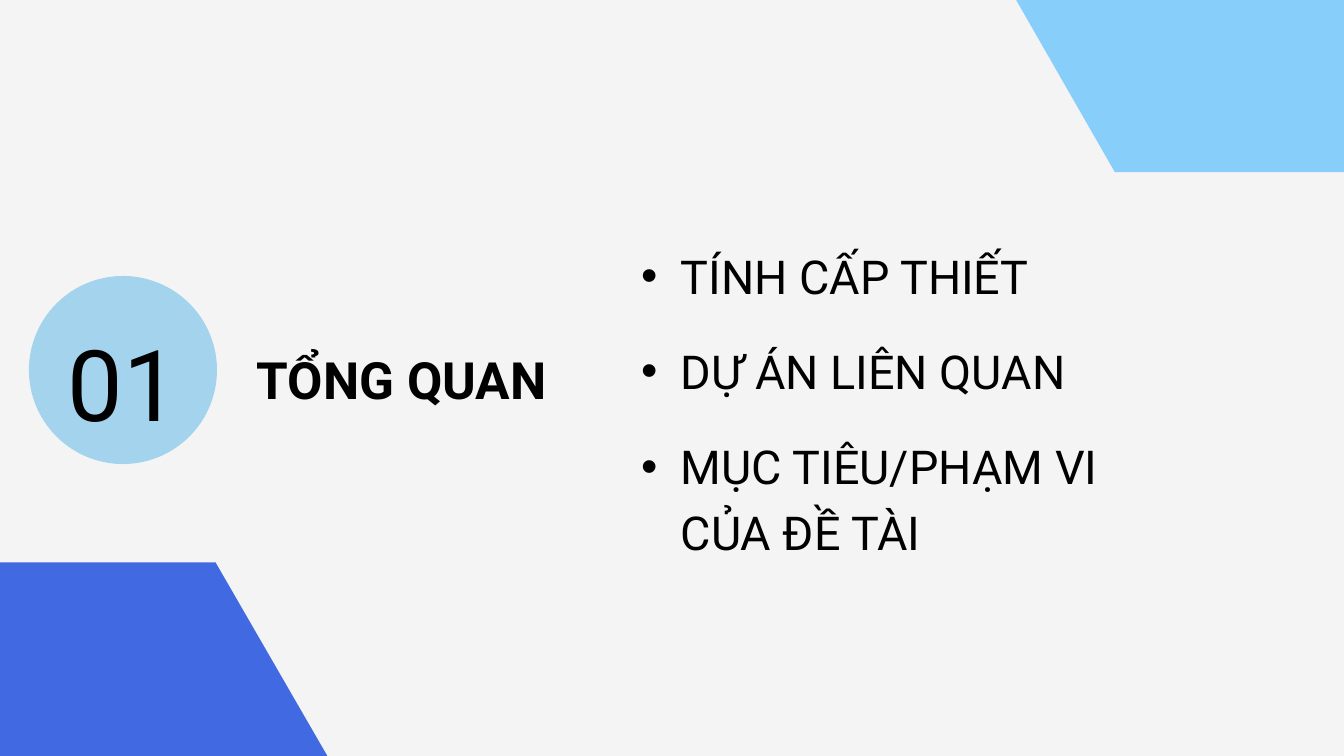
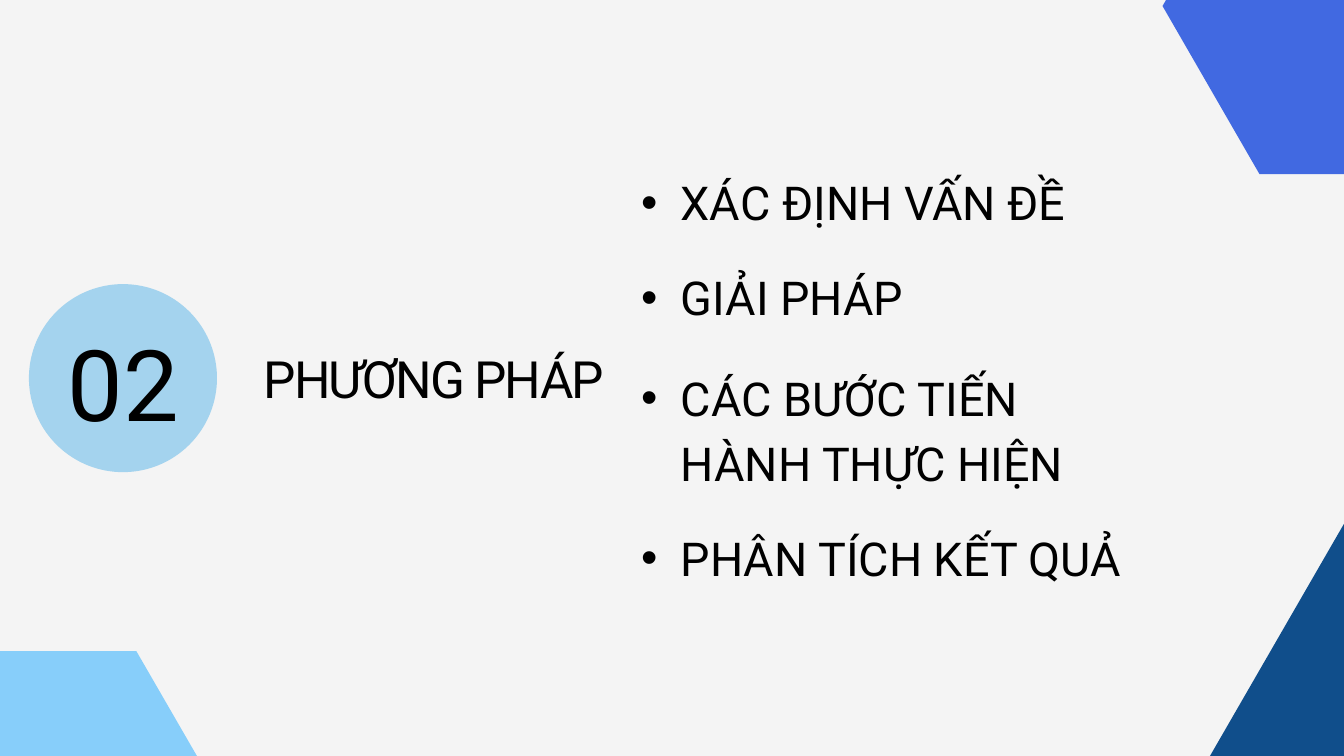
from lxml import etree
from pptx import Presentation
from pptx.dml.color import RGBColor
from pptx.enum.shapes import MSO_SHAPE
from pptx.enum.text import MSO_AUTO_SIZE, PP_ALIGN
from pptx.oxml.ns import qn
from pptx.util import Pt

OVAL = MSO_SHAPE.OVAL
GROW = MSO_AUTO_SIZE.SHAPE_TO_FIT_TEXT
LEFT, CENTER = PP_ALIGN.LEFT, PP_ALIGN.CENTER

FONT = "Roboto"
COLORS = {
    "background": "F4F4F4",
    "text": "000000",
    "badge": "A4D3EE",
    "royal": "4169E1",
    "sky": "87CEFA",
    "navy": "104E8B",
}

# Shared layout, in points
BADGE_LEFT, BADGE_SIZE = 31, 201.5
NUMBER_BOX = (71.3, 324.7, 121.7, 144)
TOPIC_LEFT, TOPIC_WIDTH = 644.4, 601
INDENT = 42.5

# Hexagons: left, top, width, height, corner inset as a share of the width, colour
SECTIONS = [
    {
        "number": "01",
        "badge_top": 295.7,
        "title": "TỔNG QUAN",
        "title_box": (232.6, 369.4, 411.8, 67),
        "title_format": {"bold": True, "spacing": 70, "level": 1, "margin": INDENT},
        "hexagons": [
            (-367.9, 602.6, 798.5, 691.2, 0.25, "royal"),
            (1077.8, -222.5, 686.2, 406.8, 0.17, "sky"),
        ],
        "topics": [
            ("TÍNH CẤP THIẾT", 255.6, TOPIC_WIDTH),
            ("DỰ ÁN LIÊN QUAN", 357.1, TOPIC_WIDTH),
            ("MỤC TIÊU/PHẠM VI CỦA ĐỀ TÀI", 459.4, 583.2),
        ],
    },
    {
        "number": "02",
        "badge_top": 304.4,
        "title": "PHƯƠNG PHÁP",
        "title_box": (232.6, 372.2, 464.4, 65.5),
        "title_format": {"spacing": 66, "align": CENTER, "tracking": -2},
        "hexagons": [
            (1296, 558.7, 581.8, 504, 0.25, "navy"),
            (1245.6, -173.5, 415.4, 360, 0.25, "royal"),
            (-78.5, 697.7, 299.5, 259.2, 0.25, "sky"),
        ],
        "topics": [
            ("XÁC ĐỊNH VẤN ĐỀ", 176.4, TOPIC_WIDTH),
            ("GIẢI PHÁP", 278.6, TOPIC_WIDTH),
            ("CÁC BƯỚC TIẾN HÀNH THỰC HIỆN", 385.9, 533.5),
            ("PHÂN TÍCH KẾT QUẢ", 557.3, TOPIC_WIDTH),
        ],
    },
]


def add_text(slide, text, box, size, spacing, align=LEFT, bold=False,
             level=0, margin=0, bullet=None, tracking=0):
    frame = slide.shapes.add_textbox(*[Pt(v) for v in box]).text_frame
    frame.word_wrap = True
    frame.auto_size = GROW
    frame.margin_left = frame.margin_top = frame.margin_right = frame.margin_bottom = 0
    paragraph = frame.paragraphs[0]
    properties = paragraph._p.get_or_add_pPr()
    properties.set("marL", str(Pt(margin)))
    properties.set("indent", str(Pt(-INDENT if bullet else 0)))
    if bullet:
        etree.SubElement(properties, qn("a:buFont")).set("typeface", "Arial")
        etree.SubElement(properties, qn("a:buChar")).set("char", bullet)
    paragraph.level = level
    paragraph.alignment = align
    paragraph.line_spacing = Pt(spacing)
    run = paragraph.add_run()
    run.text = text
    run.font.name = FONT
    run.font.size = Pt(size)
    run.font.bold = bold
    run.font.color.rgb = RGBColor.from_string(COLORS["text"])
    if tracking:
        run._r.get_or_add_rPr().set("spc", str(tracking * 100))


def paint(shape, color):
    shape.shadow.inherit = False
    shape.fill.solid()
    shape.fill.fore_color.rgb = RGBColor.from_string(COLORS[color])
    shape.line.fill.background()


prs = Presentation()
prs.slide_width, prs.slide_height = Pt(1440), Pt(810)

for section in SECTIONS:
    slide = prs.slides.add_slide(prs.slide_layouts[6])
    slide.background.fill.solid()
    slide.background.fill.fore_color.rgb = RGBColor.from_string(COLORS["background"])

    # Corner hexagons
    for left, top, width, height, inset, color in section["hexagons"]:
        right, middle, bottom = left + width, top + height / 2, top + height
        near, far = left + inset * width, right - inset * width
        corners = [(right, middle), (far, bottom), (near, bottom),
                   (left, middle), (near, top), (far, top)]
        points = [(Pt(x), Pt(y)) for x, y in corners]
        outline = slide.shapes.build_freeform(*points[0])
        outline.add_line_segments(points[1:], close=True)
        paint(outline.convert_to_shape(), color)

    # Numbered badge
    badge = slide.shapes.add_shape(OVAL, Pt(BADGE_LEFT), Pt(section["badge_top"]),
                                   Pt(BADGE_SIZE), Pt(BADGE_SIZE))
    paint(badge, "badge")
    add_text(slide, section["number"], NUMBER_BOX, size=106, spacing=148.4, align=CENTER)

    # Section title
    add_text(slide, section["title"], section["title_box"], size=55,
             **section["title_format"])

    # Topics
    for topic, top, width in section["topics"]:
        height = 67.7 if width == TOPIC_WIDTH else 137.5
        add_text(slide, topic, (TOPIC_LEFT, top, width, height), size=50, spacing=70,
                 level=1, margin=2 * INDENT, bullet="•")

prs.save("out.pptx")
